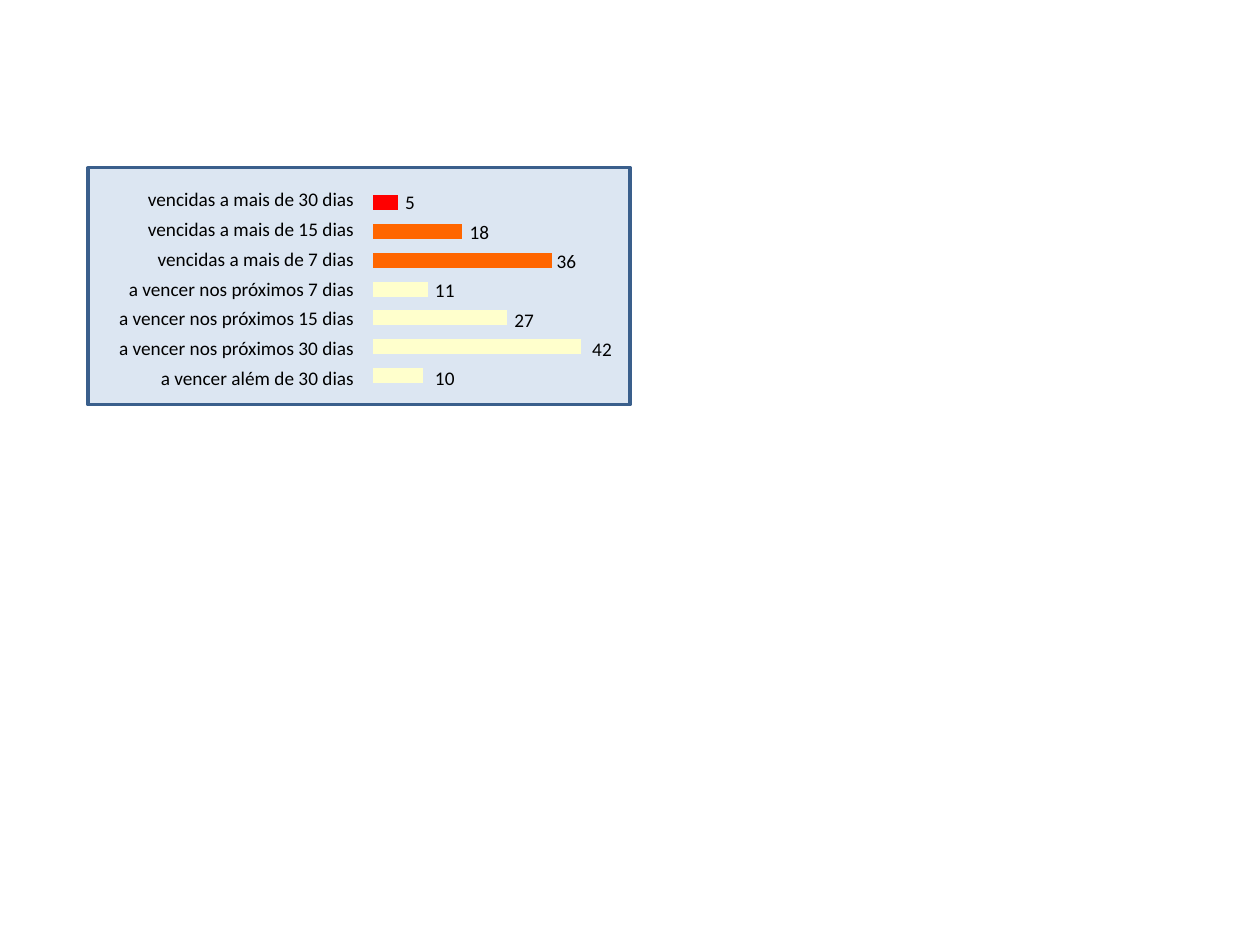
from pptx import Presentation
from pptx.dml.color import RGBColor
from pptx.enum.shapes import MSO_SHAPE as Shape
from pptx.enum.text import MSO_ANCHOR as Anchor, MSO_AUTO_SIZE as AutoSize, PP_ALIGN as Align
from pptx.util import Cm, Pt

BLACK = RGBColor(0x00, 0x00, 0x00)
PANEL_FILL = RGBColor(0xDC, 0xE6, 0xF2)
PANEL_LINE = RGBColor(0x3A, 0x5F, 0x8C)
RED = RGBColor(0xFF, 0x00, 0x00)
ORANGE = RGBColor(0xFF, 0x66, 0x00)
CREAM = RGBColor(0xFF, 0xFF, 0xCC)

DUE_ROWS = [
    ("vencidas a mais de 30 dias", 5, RED, -0.1),
    ("vencidas a mais de 15 dias", 18, ORANGE, -0.1),
    ("vencidas a mais de 7 dias", 36, ORANGE, -0.15),
    ("a vencer nos próximos 7 dias", 11, CREAM, -0.1),
    ("a vencer nos próximos 15 dias", 27, CREAM, -0.1),
    ("a vencer nos próximos 30 dias", 42, CREAM, -0.03),
    ("a vencer além de 30 dias", 10, CREAM, 0),
]
CM_PER_UNIT = 0.1


def add_block(page, left, top, width, height, fill=None, line=None):
    block = page.shapes.add_shape(
        Shape.ACTION_BUTTON_CUSTOM, Cm(left), Cm(top), Cm(width), Cm(height))
    block.shadow.inherit = False
    if fill is None:
        block.fill.background()
    else:
        block.fill.solid()
        block.fill.fore_color.rgb = fill
    if line is None:
        block.line.fill.background()
    else:
        block.line.color.rgb = line
        block.line.width = Pt(2)
    return block


def write_text(box, text, size=11, font="Calibri", color=BLACK,
               align=Align.LEFT, anchor=Anchor.TOP, auto_size=AutoSize.NONE):
    frame = box.text_frame
    frame.word_wrap = True
    frame.auto_size = auto_size
    frame.vertical_anchor = anchor
    para = frame.paragraphs[0]
    para.alignment = align
    span = para.add_run()
    span.text = text
    span.font.size = Pt(size)
    span.font.name = font
    span.font.color.rgb = color


def add_labels(page, left, top):
    for index, (label, _, _, _) in enumerate(DUE_ROWS):
        box = add_block(page, left, top + index * 0.6, 6.6, 0.51)
        write_text(box, label, align=Align.RIGHT, anchor=Anchor.MIDDLE)


def add_bars(page, left, top):
    for index, (_, count, color, _) in enumerate(DUE_ROWS):
        add_block(page, left, top + index * 0.58, count * CM_PER_UNIT, 0.3, fill=color)


def add_values(page, left, top):
    for index, (_, count, _, gap) in enumerate(DUE_ROWS):
        box = page.shapes.add_textbox(
            Cm(left + count * CM_PER_UNIT + gap), Cm(top + index * 0.59), Cm(1.4), Cm(0.74))
        write_text(box, str(count), auto_size=AutoSize.SHAPE_TO_FIT_TEXT)


def add_due_panel(page, left, top, width, height):
    add_block(page, left, top, width, height, fill=PANEL_FILL, line=PANEL_LINE)
    bar_left = left + 5.74
    add_labels(page, left - 0.99, top + 0.38)
    add_bars(page, bar_left, top + 0.56)
    add_values(page, bar_left, top + 0.34)


def main():
    deck = Presentation()
    deck.slide_width, deck.slide_height = Cm(25.4), Cm(19.05)
    page = deck.slides.add_slide(deck.slide_layouts[6])
    add_due_panel(page, 1.78, 3.38, 10.92, 4.78)
    deck.save("out.pptx")


if __name__ == "__main__":
    main()
